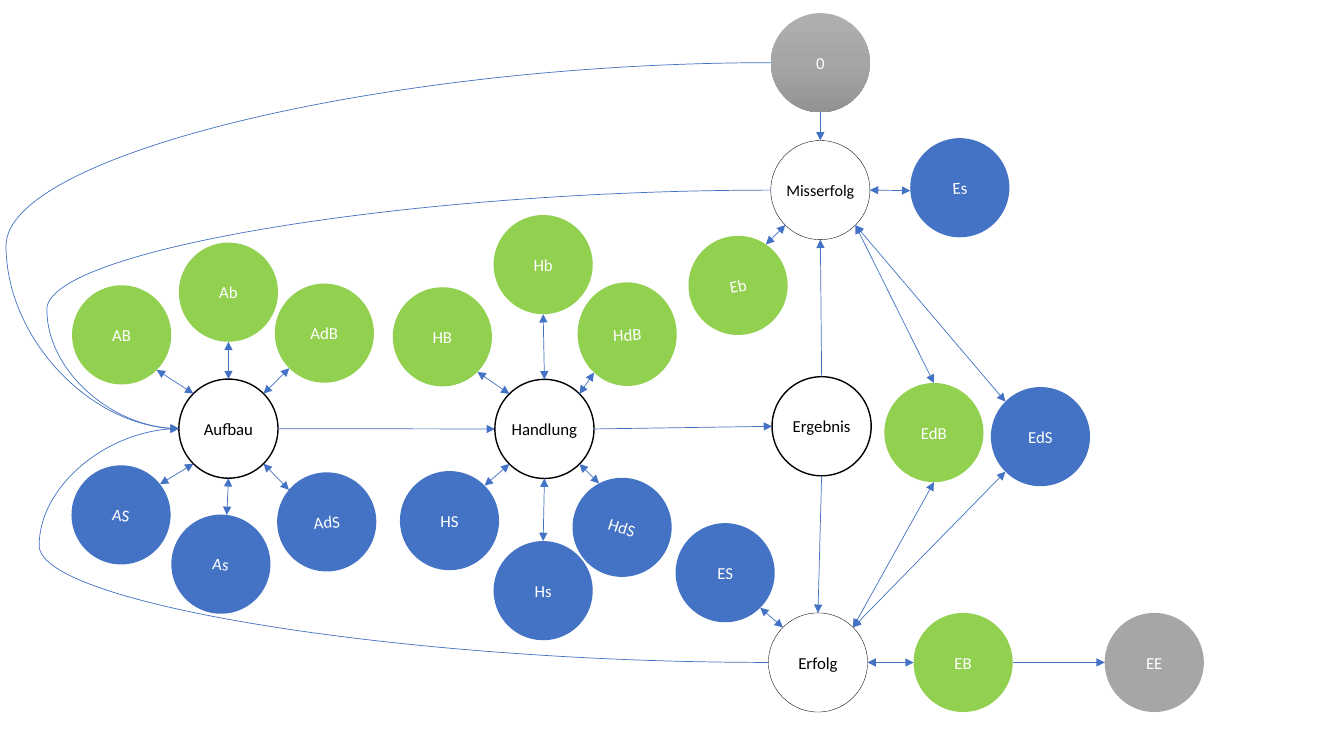
from copy import deepcopy
from math import cos, radians, sin

from lxml import etree
from pptx import Presentation
from pptx.dml.color import RGBColor
from pptx.enum import shapes, text
from pptx.oxml.ns import qn
from pptx.util import Pt

BLUE, GREEN, GREY, WHITE, BLACK = "4472C4", "92D050", "A6A6A6", "FFFFFF", "000000"
SIZE = 70.8  # diameter of a circle

# Clockwise angles of the points where links meet a circle
N, NE, E, SE, S, SW, W, NW = range(0, 360, 45)


def color(code):
    return RGBColor.from_string(code)


def site(name, angle):
    x, y, high, turn = nodes[name]
    a = radians(angle + turn)
    return Pt(x + SIZE / 2 * sin(a)), Pt(y - high / 2 * cos(a))


prs = Presentation()
prs.slide_width, prs.slide_height = Pt(960), Pt(540)
slide = prs.slides.add_slide(prs.slide_layouts[6])

# Circles: label, centre x and y, fill, outline width, rotation
circles = [
    ("0", 586, 44.8, GREY, 0, 0),
    ("Misserfolg", 586, 135.8, WHITE, 0.25, 0),
    ("Erfolg", 584.3, 473.2, WHITE, 0.25, 0),
    ("Ergebnis", 586.9, 304.5, WHITE, 1, 0),
    ("Handlung", 388.9, 306.4, WHITE, 1, 0),
    ("Aufbau", 163.2, 306.2, WHITE, 1, 0),
    ("AB", 86.9, 239.2, GREEN, 0, 0),
    ("Ab", 163.2, 208.7, GREEN, 0, 0),
    ("AdB", 231.7, 238, GREEN, 0, 0),
    ("AS", 86.5, 367.8, BLUE, 0, 6.8),
    ("As", 157.8, 403, BLUE, 0, 6.8),
    ("AdS", 233.4, 372.8, BLUE, 0, -4.7),
    ("HB", 316, 240.6, GREEN, 0, 0),
    ("Hb", 388, 189, GREEN, 0, 0),
    ("HdB", 448, 238.7, GREEN, 0, -2.9),
    ("HS", 321.1, 371.9, BLUE, 0, 0),
    ("Hs", 388, 421.9, BLUE, 0, 0),
    ("HdS", 444.4, 376.7, BLUE, 0, 17.3),
    ("Eb", 527.2, 203.9, GREEN, 0, -10.8),
    ("Es", 685.6, 134.1, BLUE, 0, -3.4),
    ("ES", 518, 409.1, BLUE, 0, 0),
    ("EB", 688, 473.2, GREEN, 0, 0),
    ("EdB", 667.1, 309, GREEN, 0, 0),
    ("EdS", 743.2, 311.9, BLUE, 0, 0),
    ("EE", 824.5, 473.2, GREY, 0, 0),
]
nodes = {}
for name, x, y, fill, edge, turn in circles:
    high = 74 if name == "HdB" else SIZE
    nodes[name] = x, y, high, turn
    disc = slide.shapes.add_shape(
        shapes.MSO_SHAPE.FLOWCHART_CONNECTOR,
        Pt(x - SIZE / 2), Pt(y - high / 2), Pt(SIZE), Pt(high))
    disc.rotation = turn
    disc.shadow.inherit = False

    # Fill and outline; the start circle is shaded from top to bottom
    if name == "0":
        disc.fill.gradient()
        disc.fill.gradient_angle = 270
        stops = disc._element.spPr.find(".//" + qn("a:gsLst"))
        stops.insert(1, deepcopy(stops[0]))
        shades = zip(disc.fill.gradient_stops, (0, 0.5, 1), ("AFAFAF", "A5A5A5", "939393"))
        for stop, pos, shade in shades:
            stop.position = pos
            stop.color.rgb = color(shade)
    else:
        disc.fill.solid()
        disc.fill.fore_color.rgb = color(fill)
    if edge:
        disc.line.color.rgb = color(BLACK)
        disc.line.width = Pt(edge)
    else:
        disc.line.fill.background()

    # Label
    frame = disc.text_frame
    frame.margin_left = frame.margin_right = frame.margin_top = frame.margin_bottom = 0
    frame.vertical_anchor = text.MSO_ANCHOR.MIDDLE
    frame.word_wrap = False
    para = frame.paragraphs[0]
    para.alignment = text.PP_ALIGN.CENTER
    run = para.add_run()
    run.text = name
    run.font.name = "Calibri"
    run.font.size = Pt(11.5 if name == "Misserfolg" else 12)
    run.font.color.rgb = color(BLACK if fill == WHITE else WHITE)

# Links: from, its side, to, its side, bend of a curve in percent (0 = straight)
one_way = [
    ("0", S, "Misserfolg", N, 0),
    ("Aufbau", E, "Handlung", W, 0),
    ("Handlung", E, "Ergebnis", W, 0),
    ("Ergebnis", N, "Misserfolg", S, 0),
    ("Ergebnis", S, "Erfolg", N, 0),
    ("EB", E, "EE", W, 0),
    ("0", W, "Aufbau", W, 129.2),
    ("Misserfolg", W, "Aufbau", W, 122.3),
    ("Erfolg", W, "Aufbau", W, 123.7),
]
two_way = [
    ("AB", SE, "Aufbau", NW, 0),
    ("Ab", S, "Aufbau", N, 0),
    ("AdB", SW, "Aufbau", NE, 0),
    ("AS", NE, "Aufbau", SW, 0),
    ("As", N, "Aufbau", S, 0),
    ("AdS", NW, "Aufbau", SE, 0),
    ("HB", SE, "Handlung", NW, 0),
    ("Hb", S, "Handlung", N, 0),
    ("HdB", SW, "Handlung", NE, 0),
    ("HS", NE, "Handlung", SW, 0),
    ("Hs", N, "Handlung", S, 0),
    ("HdS", NW, "Handlung", SE, 0),
    ("Eb", NE, "Misserfolg", SW, 0),
    ("Es", W, "Misserfolg", E, 0),
    ("EdB", N, "Misserfolg", SE, 0),
    ("EdS", NW, "Misserfolg", SE, 0),
    ("ES", SE, "Erfolg", NW, 0),
    ("EB", W, "Erfolg", E, 0),
    ("EdB", S, "Erfolg", NE, 0),
    ("EdS", SW, "Erfolg", NE, 0),
]
for links, ends in ((one_way, ["tailEnd"]), (two_way, ["headEnd", "tailEnd"])):
    for start, out, goal, into, bend in links:
        kind = shapes.MSO_CONNECTOR.CURVE if bend else shapes.MSO_CONNECTOR.STRAIGHT
        link = slide.shapes.add_connector(kind, *site(start, out), *site(goal, into))
        link.line.color.rgb = color(BLUE)
        link.line.width = Pt(0.5)
        props = link._element.spPr
        for end in ends:
            etree.SubElement(props.find(qn("a:ln")), qn("a:" + end), type="triangle")
        etree.SubElement(props, qn("a:effectLst"))
        if bend:
            etree.SubElement(props.find(".//" + qn("a:avLst")), qn("a:gd"),
                             name="adj1", fmla=f"val {round(bend * 1000)}")

prs.save("out.pptx")
